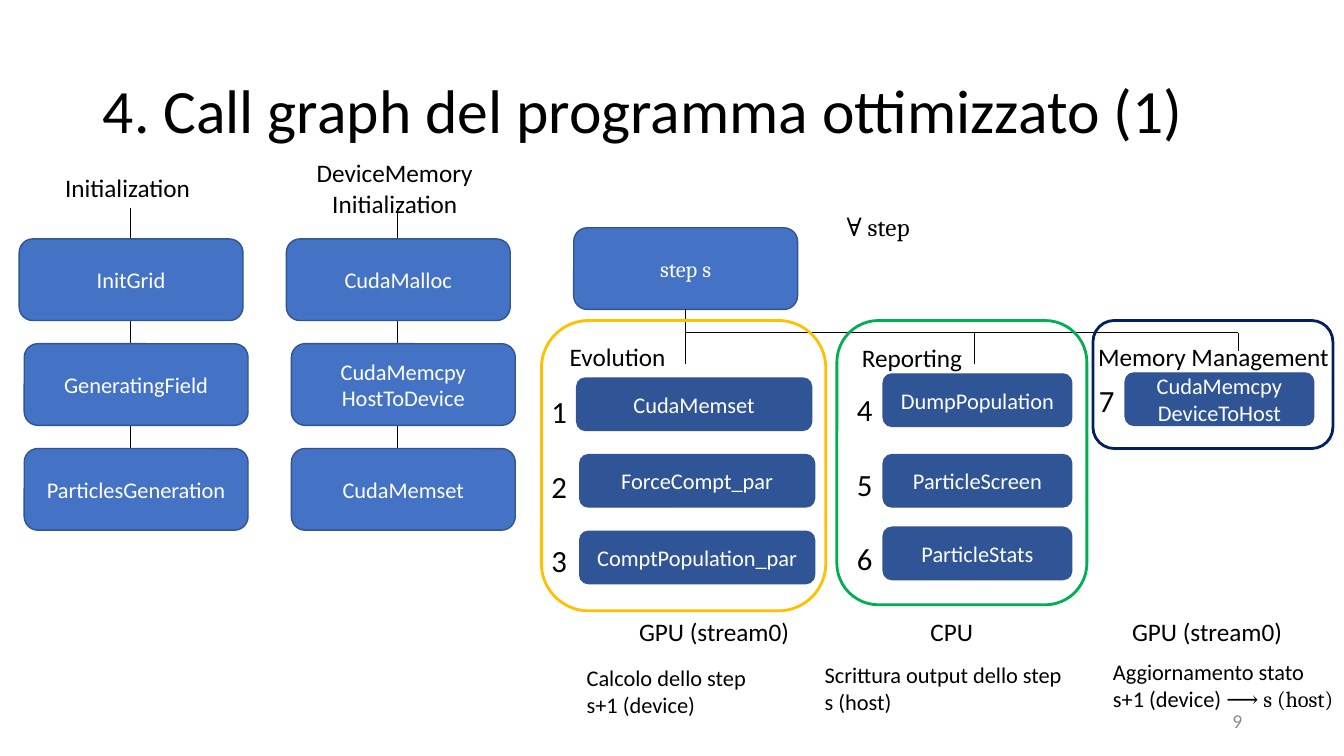
"""Build the call graph slide of the optimised program."""
from lxml import etree
from pptx import Presentation
from pptx.dml.color import RGBColor
from pptx.enum.shapes import MSO_CONNECTOR, MSO_SHAPE
from pptx.enum.text import MSO_ANCHOR as ANCHOR, MSO_AUTO_SIZE, PP_ALIGN as ALIGN
from pptx.oxml.ns import qn
from pptx.util import Inches, Pt

BLACK = RGBColor(0x00, 0x00, 0x00)
WHITE = RGBColor(0xFF, 0xFF, 0xFF)
GRAY = RGBColor(0x8C, 0x8C, 0x8C)
BLUE = RGBColor(0x44, 0x72, 0xC4)
DARK_BLUE = RGBColor(0x2F, 0x55, 0x97)
EDGE = RGBColor(0x32, 0x54, 0x91)
YELLOW = RGBColor(0xFF, 0xC0, 0x00)
GREEN = RGBColor(0x00, 0xB0, 0x50)
NAVY = RGBColor(0x00, 0x20, 0x60)

presentation = Presentation()
presentation.slide_width = Inches(13.33)
presentation.slide_height = Inches(7.5)
slide = presentation.slides.add_slide(presentation.slide_layouts[5])


def add_text(text, left, top, width, height, size=16, font="Calibri", color=BLACK,
             align=ALIGN.LEFT, anchor=ANCHOR.TOP, fill=None, gap=0):
    """Add a text box, or a rounded box when a fill is given."""
    area = [Inches(length) for length in (left, top, width, height)]
    if fill is None:
        shape = slide.shapes.add_textbox(*area)
    else:
        shape = slide.shapes.add_shape(MSO_SHAPE.ROUNDED_RECTANGLE, *area)
        shape.shadow.inherit = False
        shape.fill.solid()
        shape.fill.fore_color.rgb = fill
        shape.line.color.rgb = EDGE
        shape.line.width = Pt(1)
    frame = shape.text_frame
    frame.word_wrap = True
    frame.vertical_anchor = anchor
    frame.text = text
    for index, paragraph in enumerate(frame.paragraphs):
        paragraph.alignment = align
        paragraph.space_before = Pt(gap if index else 0)
        paragraph.font.size = Pt(size)
        paragraph.font.name = font
        paragraph.font.color.rgb = color
    return shape


def add_line(x1, y1, x2, y2):
    """Add a thin black line."""
    line = slide.shapes.add_connector(
        MSO_CONNECTOR.STRAIGHT, Inches(x1), Inches(y1), Inches(x2), Inches(y2))
    line.line.color.rgb = BLACK
    line.line.width = Pt(0.5)
    etree.SubElement(line._element.spPr, qn("a:effectLst"))
    return line


title = slide.shapes.title
title.left, title.top = Inches(0.92), Inches(0.4)
title.width, title.height = Inches(11.5), Inches(1.45)
title.text_frame.text = "4. Call graph del programma ottimizzato (1)"
title.text_frame.auto_size = MSO_AUTO_SIZE.NONE
title.text_frame.vertical_anchor = ANCHOR.MIDDLE
heading = title.text_frame.paragraphs[0]
heading.alignment = ALIGN.LEFT
heading.line_spacing = 0.9
heading.font.size = Pt(44)
heading.font.name = "Calibri"
heading.font.color.rgb = BLACK

centered = {"align": ALIGN.CENTER, "anchor": ANCHOR.MIDDLE}
stage_box = {"color": WHITE, "fill": BLUE, **centered}
kernel_box = {"color": WHITE, "fill": DARK_BLUE, **centered}

setup_columns = [
    (0.19, 1.29, ["InitGrid", "GeneratingField", "ParticlesGeneration"]),
    (2.84, 3.94, ["CudaMalloc", "CudaMemcpy\nHostToDevice", "CudaMemset"]),
]
for left, line_x, stages in setup_columns:
    add_line(line_x, 2.06, line_x, 5.03)
    for row, stage in enumerate(stages):
        indent = 0.05 if row else 0
        add_text(stage, left + indent, 2.37 + 1.04 * row, 2.22, 0.81, **stage_box)

step = add_text("step s", 5.69, 2.26, 2.22, 0.81, font="Cambria", **stage_box)
trunk = add_line(6.8, 3.07, 6.8, 3.61)
trunk.begin_connect(step, 2)
add_line(6.8, 3.3, 12.28, 3.3)
add_line(9.66, 3.3, 9.66, 3.61)
add_line(12.28, 3.3, 12.28, 3.48)

kernels = [
    ("CudaMemset", 5.72, 3.75, 2.33),
    ("ForceCompt_par", 5.75, 4.51, 2.33),
    ("ComptPopulation_par", 5.75, 5.27, 2.33),
    ("DumpPopulation", 8.76, 3.71, 1.87),
    ("ParticleScreen", 8.76, 4.51, 1.87),
    ("ParticleStats", 8.76, 5.23, 1.87),
    ("CudaMemcpy\nDeviceToHost", 11.16, 3.7, 1.87),
]
for kernel, left, top, width in kernels:
    add_text(kernel, left, top, width, 0.52, **kernel_box)

group_frames = [
    (5.37, 2.82, 2.88, YELLOW),
    (8.3, 2.48, 2.82, GREEN),
    (10.84, 2.38, 1.27, NAVY),
]
for left, width, height, color in group_frames:
    frame_shape = slide.shapes.add_shape(
        MSO_SHAPE.ROUNDED_RECTANGLE, Inches(left), Inches(3.18), Inches(width), Inches(height))
    frame_shape.shadow.inherit = False
    frame_shape.fill.background()
    frame_shape.line.color.rgb = color
    frame_shape.line.width = Pt(2)

labels = [
    ("Initialization", 0.34, 1.66, 1.85, 0.4),
    ("DeviceMemory Initialization", 2.99, 1.51, 1.85, 0.71),
    ("Evolution", 5.2, 3.34, 1.85, 0.4),
    ("Reporting", 8.12, 3.35, 1.85, 0.4),
    ("Memory Management", 10.74, 3.34, 2.59, 0.4),
]
for label, *area in labels:
    add_text(label, *area, size=18, **centered)
add_text("∀ step", 8.3, 2.05, 1.43, 0.4, size=18, font="Cambria")

for numbers, left, top, height in [
    ("1\n2\n3", 5.37, 3.85, 1.95),
    ("4\n5\n6", 8.4, 3.83, 1.95),
    ("7", 10.8, 3.74, 0.47),
]:
    add_text(numbers, left, top, 0.4, height, size=22, gap=26.8)

for processor, left in [("GPU (stream0)", 6.24), ("CPU", 9.13), ("GPU (stream0)", 11.13)]:
    add_text(processor, left, 6.07, 1.8, 0.4, size=18)

add_text("Calcolo dello step\ns+1 (device)", 5.72, 6.54, 2.38, 0.64)
add_text("Scrittura output dello step\ns (host)", 8.08, 6.51, 2.98, 0.64)
update = add_text("Aggiornamento stato\ns+1 (device) ", 10.94, 6.48, 2.57, 0.64)
transfer = update.text_frame.paragraphs[1].add_run()
transfer.text = "⟶ s (host)"
transfer.font.name = "Cambria"

add_text("9", 9.42, 6.95, 3, 0.4, size=14, color=GRAY, align=ALIGN.RIGHT, anchor=ANCHOR.MIDDLE)

presentation.save("out.pptx")
